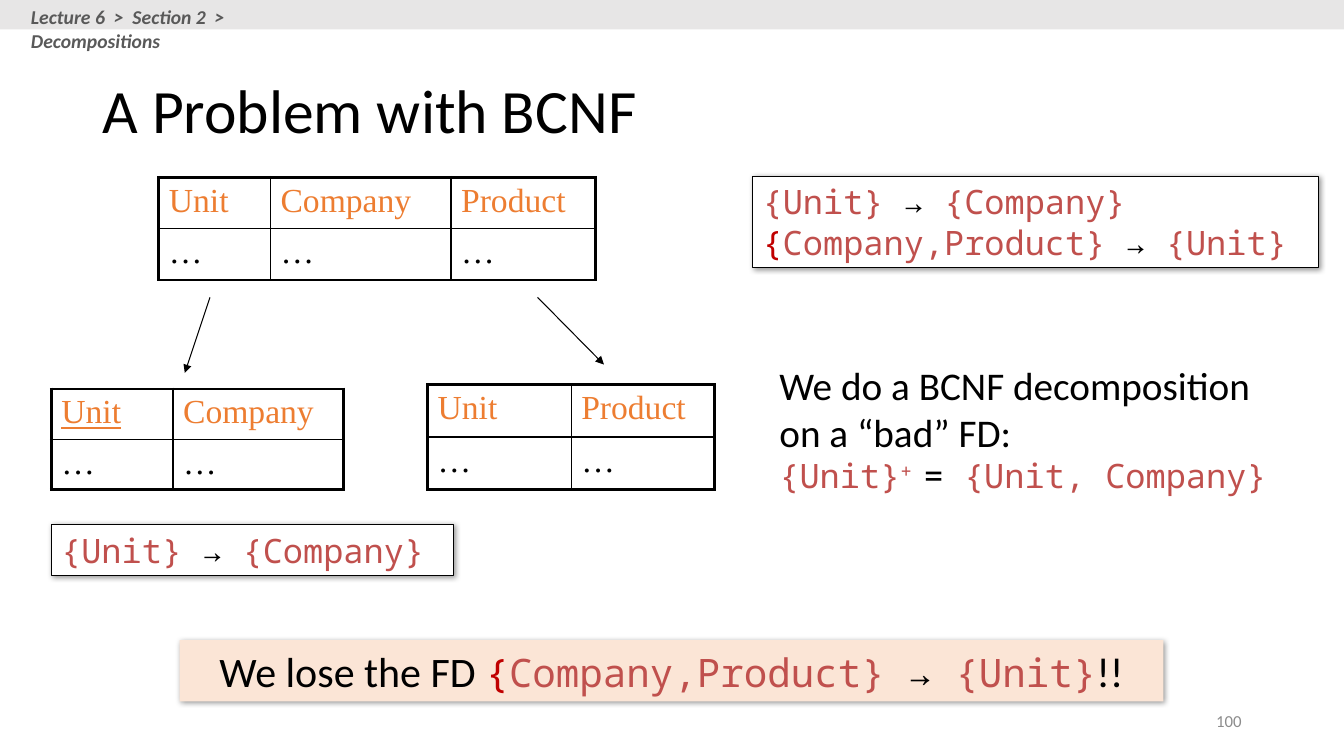
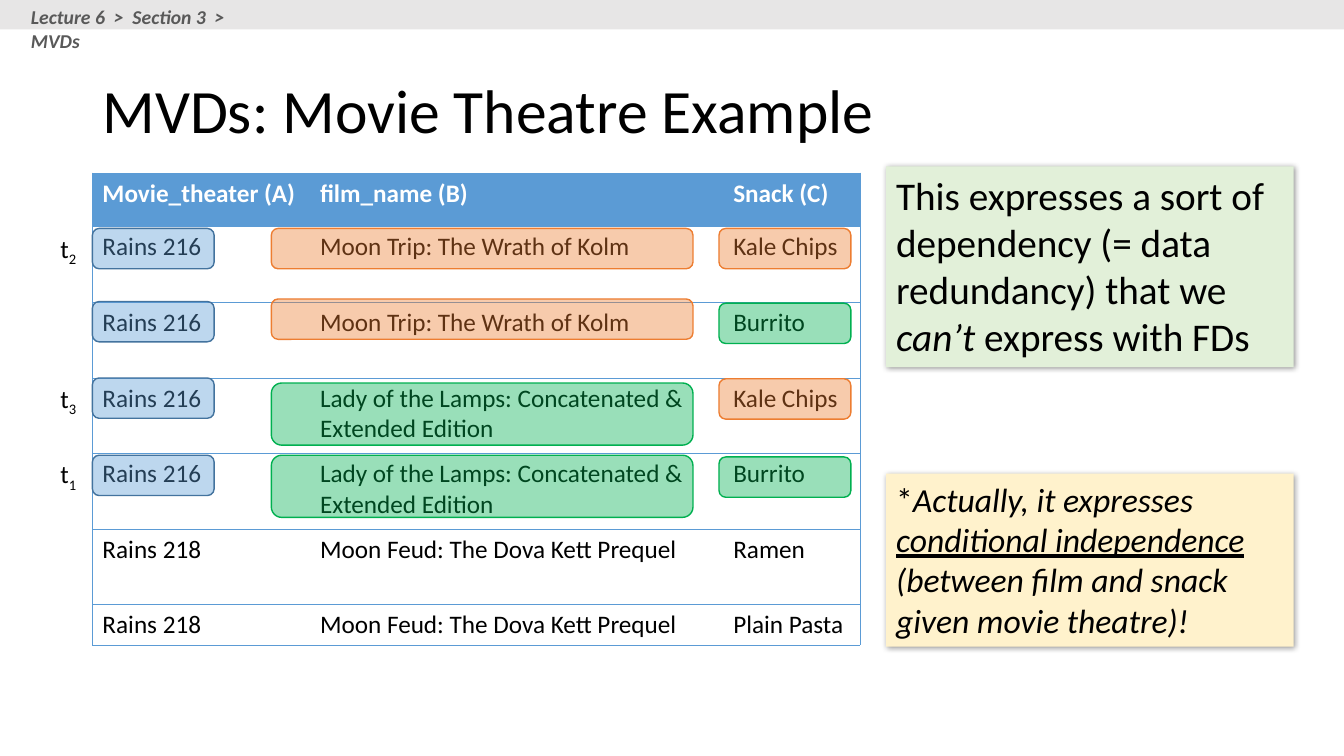
"""Two lecture slides on BCNF decomposition and multivalued dependencies."""
from pptx import Presentation
from pptx.dml.color import RGBColor
from pptx.enum.shapes import MSO_CONNECTOR as Connector, MSO_SHAPE as Shape
from pptx.enum.text import MSO_ANCHOR as Anchor, PP_ALIGN as Align
from pptx.oxml.ns import qn
from pptx.util import Inches, Pt
from lxml.etree import SubElement

COLORS = {
    "black": "000000", "white": "FFFFFF", "band": "E7E6E6", "crumb": "595959",
    "page": "8C8C8C", "attribute": "C0504D", "brace": "C00000",
    "orange": "ED7D31", "blue": "5B9BD5", "navy": "43739E", "green": "00B050",
    "peach": "FBE5D6", "mint": "E2F0D9", "cream": "FFF2CC",
}
SANS, MONO, SERIF = "Calibri", "Noto Sans Mono", "Times New Roman"
COLUMNS, ROWS = 80, 45
PLAIN_GRID = "{2D5ABB26-0587-4C30-8999-92F81FD0307C}"

RED = {"color": "attribute"}
ARROW = ("→", {})
UNIT_FD = [("{Unit} ", RED), ARROW, (" {Company}", RED)]
LOST_FD = [("{", {"color": "brace"}), ("Company,Product} ", RED), ARROW, (" {Unit}", RED)]


def rgb(name):
    """Return the named colour."""
    return RGBColor.from_string(COLORS[name])


def write(paragraph, text, size=18, font=SANS, color="black", bold=False,
          italic=False, underline=False, baseline=0):
    """Add one formatted run to a paragraph."""
    run = paragraph.add_run()
    run.text = text
    run.font.size, run.font.name = Pt(size), font
    run.font.bold, run.font.italic, run.font.underline = bold, italic, underline
    run.font.color.rgb = rgb(color)
    if baseline:
        run._r.get_or_add_rPr().set("baseline", str(baseline * 1000))


class Deck:
    """Lecture style and the slide being built, measured in grid columns and rows."""

    def __init__(self):
        """Open an empty widescreen deck."""
        self.deck = Presentation()
        self.deck.slide_width, self.deck.slide_height = Inches(13.33), Inches(7.5)
        self.slide = None

    def across(self, columns):
        """Convert grid columns to a length."""
        return round(self.deck.slide_width * columns / COLUMNS)

    def down(self, rows):
        """Convert grid rows to a length."""
        return round(self.deck.slide_height * rows / ROWS)

    def place(self, left, top, width, height):
        """Convert a grid rectangle to lengths."""
        return self.across(left), self.down(top), self.across(width), self.down(height)

    def start(self, title, section, topic):
        """Begin a slide with its title, band and breadcrumb."""
        self.slide = self.deck.slides.add_slide(self.deck.slide_layouts[5])
        heading = self.slide.shapes.title
        heading.left, heading.top, heading.width, heading.height = self.place(5.5, 2.4, 69, 8.7)
        frame = heading.text_frame
        frame.word_wrap, frame.vertical_anchor = True, Anchor.MIDDLE
        line = frame.paragraphs[0]
        line.alignment, line.line_spacing = Align.LEFT, 0.9
        write(line, title, size=44)
        self.shape((0, 0, COLUMNS, 1.75), "band")
        self.text((1.25, 0, 13.8, 2), [[(f"Lecture 6  >  Section {section}  >  {topic}", {})]],
                  size=14, color="crumb", bold=True, italic=True)

    def fill_text(self, frame, paragraphs, align=Align.LEFT, anchor=Anchor.TOP, **style):
        """Write paragraphs of (text, format) runs over a common style."""
        frame.word_wrap, frame.vertical_anchor = True, anchor
        for index, runs in enumerate(paragraphs):
            paragraph = frame.add_paragraph() if index else frame.paragraphs[0]
            paragraph.alignment = align
            for text, own in runs:
                write(paragraph, text, **{**style, **own})

    def text(self, area, paragraphs, **style):
        """Add a text box."""
        box = self.slide.shapes.add_textbox(*self.place(*area))
        self.fill_text(box.text_frame, paragraphs, **style)

    def shape(self, area, fill, line=None, weight=1, kind=Shape.RECTANGLE):
        """Add a filled shape without shadow."""
        shape = self.slide.shapes.add_shape(kind, *self.place(*area))
        shape.shadow.inherit = False
        shape.fill.solid()
        shape.fill.fore_color.rgb = rgb(fill)
        if line:
            shape.line.color.rgb, shape.line.width = rgb(line), Pt(weight)
        else:
            shape.line.fill.background()
        return shape

    def panel(self, area, paragraphs, fill="white", line=None, **style):
        """Add a text panel with a soft shadow."""
        panel = self.shape(area, fill, line, 0.75)
        effects = panel._element.spPr.find(qn("a:effectLst"))
        shadow = SubElement(effects, qn("a:outerShdw"), blurRad=str(Pt(4)), dist=str(Pt(1)),
                            dir="2700000", algn="tl", rotWithShape="0")
        tint = SubElement(shadow, qn("a:srgbClr"), val=COLORS["black"])
        SubElement(tint, qn("a:alpha"), val="40000")
        self.fill_text(panel.text_frame, paragraphs, **style)

    def highlight(self, area, fill, line):
        """Add a translucent rounded marker."""
        marker = self.shape(area, fill, line, kind=Shape.ROUNDED_RECTANGLE)
        tint = marker._element.spPr.find(f"{qn('a:solidFill')}/{qn('a:srgbClr')}")
        SubElement(tint, qn("a:alpha"), val="40000")

    def arrow(self, start, end):
        """Add a thin arrow between two grid points."""
        arrow = self.slide.shapes.add_connector(
            Connector.STRAIGHT, self.across(start[0]), self.down(start[1]),
            self.across(end[0]), self.down(end[1]))
        arrow.line.color.rgb, arrow.line.width = rgb("black"), Pt(0.75)
        SubElement(arrow.line._get_or_add_ln(), qn("a:tailEnd"), type="triangle")
        SubElement(arrow._element.spPr, qn("a:effectLst"))

    def border(self, cell, sides, color):
        """Draw cell borders from a mapping of side to weight."""
        properties = cell._tc.get_or_add_tcPr()
        for index, (side, weight) in enumerate(sides.items()):
            edge = SubElement(properties, qn(f"a:ln{side}"), w=str(Pt(weight)))
            properties.remove(edge)
            properties.insert(index, edge)
            if weight:
                paint = SubElement(edge, qn("a:solidFill"))
                SubElement(paint, qn("a:srgbClr"), val=COLORS[color])
            else:
                SubElement(edge, qn("a:noFill"))

    def table(self, corner, widths, heights, rows, header, body, outer, across, between,
              edge="black", header_fill=None, key=None):
        """Add a table with outer, horizontal and vertical rule weights."""
        grid = self.slide.shapes.add_table(
            len(rows), len(widths), *self.place(*corner, sum(widths), sum(heights))).table
        grid._tbl.tblPr.find(qn("a:tableStyleId")).text = PLAIN_GRID
        grid.first_row = grid.horz_banding = False
        for column, width in zip(grid.columns, widths):
            column.width = self.across(width)
        for r, (values, height) in enumerate(zip(rows, heights)):
            grid.rows[r].height = self.down(height)
            for c, value in enumerate(values):
                cell = grid.cell(r, c)
                style = body if r else header
                write(cell.text_frame.paragraphs[0], value,
                      **{**style, "underline": (r, c) == key})
                if header_fill and r == 0:
                    cell.fill.solid()
                    cell.fill.fore_color.rgb = rgb(header_fill)
                else:
                    cell.fill.background()
                self.border(cell, {
                    "L": between if c else outer,
                    "R": between if c < len(widths) - 1 else outer,
                    "T": across if r else outer,
                    "B": across if r < len(rows) - 1 else outer}, edge)

    def relation(self, corner, widths, height, names, key=None):
        """Add a relation sketch: attribute names over one row of dots."""
        self.table(corner, widths, [height] * 2, [names, ["…"] * len(names)],
                   header={"size": 24, "font": SERIF, "color": "orange"},
                   body={"size": 24, "font": SERIF},
                   outer=2.25, across=1, between=1, key=key)


def build_bcnf(deck):
    """Build the slide on the dependency that BCNF loses."""
    deck.start("A Problem with BCNF", 2, "Decompositions")
    deck.text((56.5, 41.7, 18, 2.4), [[("100", {})]], size=12, color="page",
              align=Align.RIGHT, anchor=Anchor.MIDDLE)

    deck.relation((9.45, 10.55), [6.65, 10.75, 8.6], 3.06, ["Unit", "Company", "Product"])
    deck.relation((3.05, 23.15), [7.25, 10.15], 3, ["Unit", "Company"], key=(0, 0))
    deck.relation((25.45, 22.9), [8.55, 8.55], 3.12, ["Unit", "Product"])
    deck.arrow((12.5, 17.7), (11, 22.2))
    deck.arrow((32, 17.7), (35.95, 21.7))

    code = {"size": 24, "font": MONO}
    deck.panel((44.8, 10.5, 33.7, 5.45), [UNIT_FD, LOST_FD], line="black", **code)
    deck.panel((3.05, 31.25, 23.95, 3), [UNIT_FD], line="black", **code)
    speech = {"size": 28, "font": SANS}
    deck.text((45.8, 21.2, 31.75, 8.7), [
        [("We do a BCNF decomposition on a “bad” FD:", speech)],
        [("{Unit}", RED), ("+ ", {**RED, "baseline": 30}), ("= ", {}),
         ("{Unit, Company}", RED)]], **code)
    loud = {"size": 30, "font": SANS}
    deck.panel((10.7, 38.1, 58.55, 3.65),
               [[("We lose the FD ", loud), *LOST_FD, ("!!", loud)]],
               fill="peach", size=28, font=MONO, align=Align.CENTER)


def build_mvd(deck):
    """Build the slide with the movie theatre table."""
    deck.start("MVDs: Movie Theatre Example", 3, "MVDs")
    trek = "Moon Trip: The Wrath of Kolm"
    rings = "Lady of the Lamps: Concatenated & Extended Edition"
    wars = "Moon Feud: The Dova Kett Prequel"
    showings = [
        ["Movie_theater (A)", "film_name (B)", "Snack (C)"],
        ["Rains 216", trek, "Kale Chips"],
        ["Rains 216", trek, "Burrito"],
        ["Rains 216", rings, "Kale Chips"],
        ["Rains 216", rings, "Burrito"],
        ["Rains 218", wars, "Ramen"],
        ["Rains 218", wars, "Plain Pasta"],
    ]
    deck.table((5.5, 10.3), [12.95, 24.6, 8.15], [3.2] + [4.5] * 5 + [2.4], showings,
               header={"color": "white", "bold": True}, body={},
               outer=0.5, across=0.5, between=0, edge="blue", header_fill="blue")

    tints = {"Rains 216": ("blue", "navy"), trek: ("orange", "orange"),
             "Kale Chips": ("orange", "orange"), rings: ("green", "green"),
             "Burrito": ("green", "green")}
    spans = [(5.5, 7.25), (16.15, 25.1), (42.8, 7.85)]
    tops = [(13.6, 13.6, 13.6), (17.95, 17.8, 18.05), (22.5, 22.8, 22.55), (27.1, 27.1, 27.2)]
    for values, row_tops in zip(showings[1:], tops):
        for value, (left, width), top in zip(values, spans, row_tops):
            height = 3.7 if value == rings else 2.4
            deck.highlight((left, top, width, height), *tints[value])
    for number, top in (("2", 13.6), ("3", 22.5), ("1", 27)):
        deck.text((3, top, 2.45, 2.4), [[("t", {}), (number, {"baseline": -25})]])

    slanted = {"italic": True}
    deck.panel((52.75, 9.9, 24.25, 11.95), [[
        ("This expresses a sort of dependency (= data redundancy) that we ", {}),
        ("can’t", slanted), (" express with FDs", {})]], fill="mint", size=28)
    deck.panel((52.75, 28.2, 24.25, 10.3), [[
        ("*", {}), ("Actually, it expresses ", slanted),
        ("conditional independence", {**slanted, "underline": True}),
        (" (between film and snack given movie theatre)!", slanted)]], fill="cream", size=24)


def main():
    """Build both slides and save them."""
    lecture = Deck()
    build_bcnf(lecture)
    build_mvd(lecture)
    lecture.deck.save("out.pptx")


if __name__ == "__main__":
    main()
